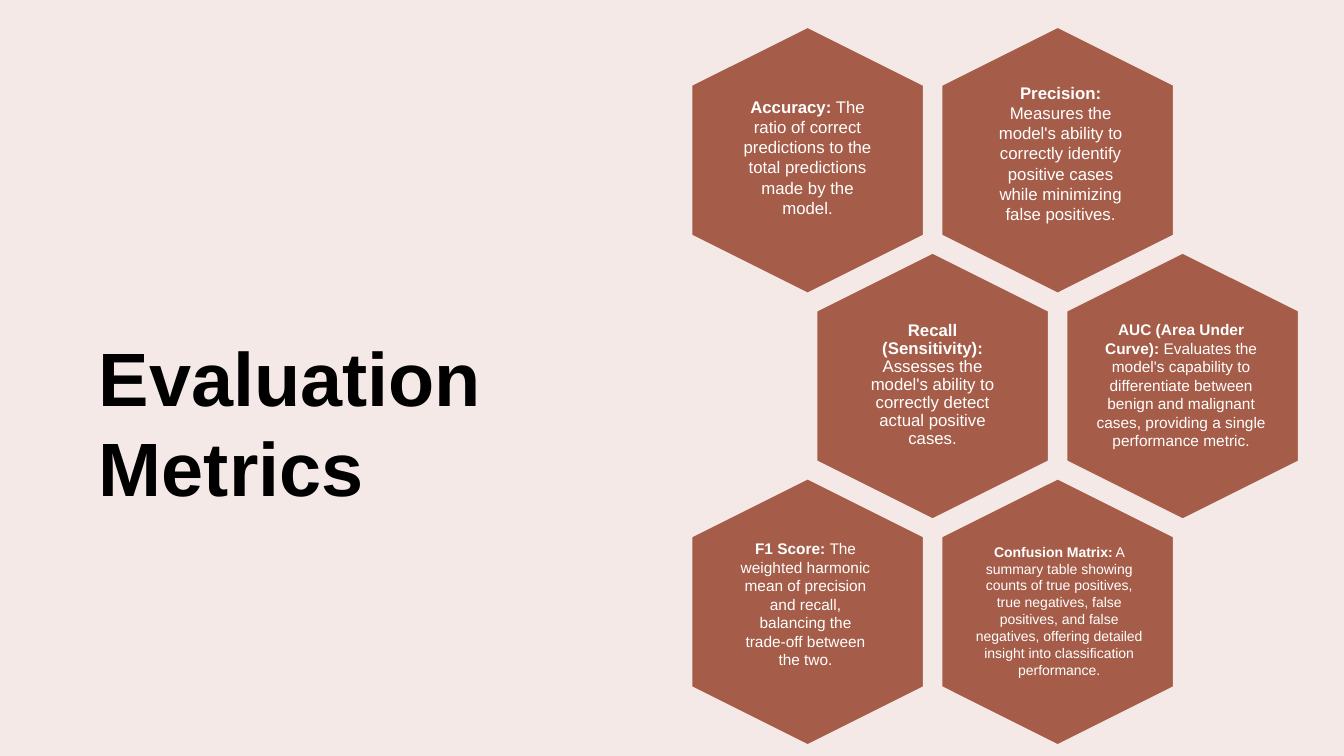
"""Build the Evaluation Metrics slide: a title beside a honeycomb of six metrics."""
from pptx import Presentation
from pptx.dml.color import RGBColor
from pptx.enum import shapes, text
from pptx.util import Inches, Pt

PALE = RGBColor(0xF4, 0xE9, 0xE6)
RUST = RGBColor(0xA5, 0x5C, 0x48)
BLACK = RGBColor(0, 0, 0)
WHITE = RGBColor(255, 255, 255)


def add_run(para, words, size, color, bold):
    run = para.add_run()
    run.text = words
    run.font.color.rgb = color
    style = {"name": "Arial", "size": Pt(size), "bold": bold}
    for key, value in style.items():
        setattr(run.font, key, value)


deck = Presentation()
deck.slide_width, deck.slide_height = Inches(13.33), Inches(7.5)
slide = deck.slides.add_slide(deck.slide_layouts[5])
slide.background.fill.solid()
slide.background.fill.fore_color.rgb = PALE

title = slide.shapes.title
place = {"left": 0.88, "top": 3.23, "width": 5.5, "height": 1.9}
for key, value in place.items():
    setattr(title, key, Inches(value))
frame = title.text_frame
frame.auto_size = text.MSO_AUTO_SIZE.NONE
frame.vertical_anchor = text.MSO_ANCHOR.TOP
para = frame.paragraphs[0]
para.alignment = text.PP_ALIGN.LEFT
add_run(para, "Evaluation Metrics", 54, BLACK, True)

for row in range(3):
    for col in range(2):
        left = 6.69 + 2.48 * col + 1.24 * (row % 2)
        top = 0.44 + 2.24 * row
        cell = slide.shapes.add_shape(
            shapes.MSO_SHAPE.HEXAGON,
            Inches(left), Inches(top), Inches(2.64), Inches(2.3))
        cell.rotation = 90
        cell.adjustments[0] = 0.25
        cell.shadow.inherit = False
        cell.fill.solid()
        cell.fill.fore_color.rgb = RUST
        cell.line.color.rgb = PALE
        cell.line.width = Pt(1)

metrics = [
    ("Accuracy:", " The ratio of correct predictions to the total predictions "
     "made by the model.", 12, (7.26, 0.91, 1.5, 1.51)),
    ("Precision: ", "Measures the model's ability to correctly identify "
     "positive cases while minimizing false positives.",
     12, (9.77, 0.77, 1.5, 1.51)),
    ("Recall (Sensitivity):", " Assesses the model's ability to correctly "
     "detect actual positive cases.", 12, (8.46, 2.91, 1.58, 1.82)),
    ("AUC (Area Under Curve): ", "Evaluates the model's capability to "
     "differentiate between benign and malignant cases, providing a single "
     "performance metric.", 11, (10.77, 3.13, 1.89, 1.4)),
    ("F1 Score:", " The weighted harmonic mean of precision and recall, "
     "balancing the trade-off between the two.", 11, (7.24, 5.3, 1.5, 1.58)),
    ("Confusion Matrix:", " A summary table showing counts of true positives, "
     "true negatives, false positives, and false negatives, offering detailed "
     "insight into classification performance.",
     10, (9.56, 5.34, 1.89, 1.45)),
]
for name, detail, size, spot in metrics:
    box = slide.shapes.add_textbox(*map(Inches, spot))
    frame = box.text_frame
    frame.word_wrap = True
    para = frame.paragraphs[0]
    para.alignment = text.PP_ALIGN.CENTER
    if name.startswith("Recall"):
        frame.vertical_anchor = text.MSO_ANCHOR.MIDDLE
        frame.margin_left = frame.margin_right = Inches(0.05)
        para.line_spacing = 0.9
    add_run(para, name, size, WHITE, True)
    add_run(para, detail, size, WHITE, False)

deck.save("out.pptx")
